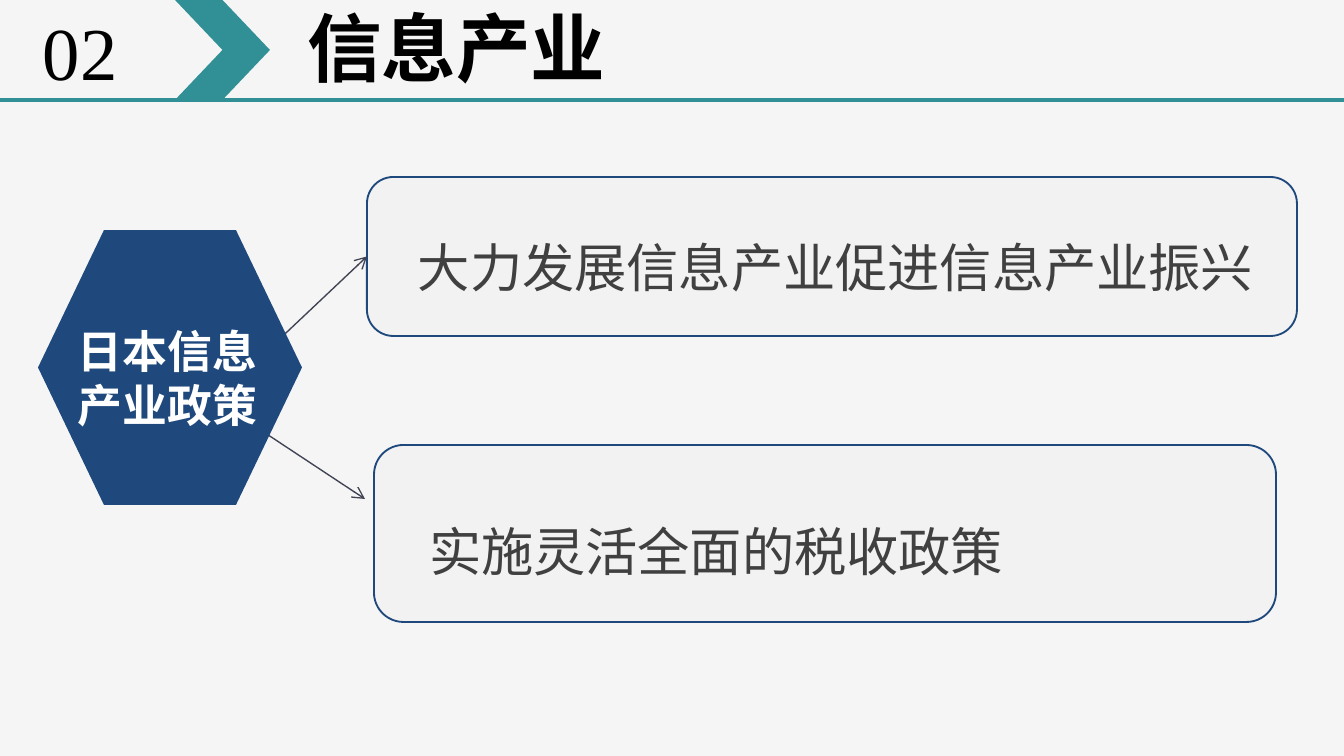
from lxml import etree
from pptx import Presentation
from pptx.dml.color import RGBColor
from pptx.enum.shapes import MSO_CONNECTOR, MSO_SHAPE
from pptx.enum.text import MSO_ANCHOR, MSO_AUTO_SIZE, PP_ALIGN
from pptx.oxml.ns import qn
from pptx.util import Pt

STRAIGHT = MSO_CONNECTOR.STRAIGHT
ROUNDED, HEXAGON, CHEVRON = (
    MSO_SHAPE.ROUNDED_RECTANGLE, MSO_SHAPE.HEXAGON, MSO_SHAPE.CHEVRON)
TOP, LEFT = MSO_ANCHOR.TOP, PP_ALIGN.LEFT
GROW = MSO_AUTO_SIZE.SHAPE_TO_FIT_TEXT

EMU_PER_PX = 914400 / 134.4
WIDTH, HEIGHT = 1344, 756
FONT = "Times New Roman"
LEFT_SIDE = 1
COLORS = {
    "background": "F5F5F5", "panel": "F2F2F2", "navy": "1F497D",
    "teal": "319095", "arrow": "414455", "body": "404040",
    "heading": "000000", "white": "FFFFFF",
}


def px(value):
    return round(value * EMU_PER_PX)


def rgb(name):
    return RGBColor.from_string(COLORS[name])


def add_block(slide, preset, box, fill, outline=None):
    block = slide.shapes.add_shape(preset, *map(px, box))
    block.shadow.inherit = False
    block.fill.solid()
    block.fill.fore_color.rgb = rgb(fill)
    if outline:
        block.line.color.rgb = rgb(outline)
        block.line.width = Pt(1)
    else:
        block.line.fill.background()
    return block


def add_line(slide, start, end, color, weight, arrow=False):
    line = slide.shapes.add_connector(STRAIGHT, *map(px, start + end))
    line.line.color.rgb = rgb(color)
    line.line.width = Pt(weight)
    if arrow:
        etree.SubElement(line.line._get_or_add_ln(), qn("a:tailEnd"), type="arrow")
    etree.SubElement(line._element.spPr, qn("a:effectLst"))
    return line


def fill_text(frame, lines, size, color, bold=False, wrap=True, spacing=None,
              margins=(11, 5)):
    """Write one paragraph per line; margins are (horizontal, vertical) px."""
    frame.word_wrap = wrap
    frame.auto_size = GROW
    frame.vertical_anchor = TOP
    frame.margin_left = frame.margin_right = px(margins[0])
    frame.margin_top = frame.margin_bottom = px(margins[1])
    frame.text = "\n".join(lines)
    for paragraph in frame.paragraphs:
        paragraph.alignment = LEFT
        paragraph.line_spacing = spacing
        paragraph.font.name = FONT
        paragraph.font.size = Pt(size)
        paragraph.font.bold = bold
        paragraph.font.color.rgb = rgb(color)


def add_text(slide, box, lines, size, color, **style):
    label = slide.shapes.add_textbox(*map(px, box))
    fill_text(label.text_frame, lines, size, color, **style)


def set_title(slide, box, text):
    title = slide.shapes.title
    title.left, title.top, title.width, title.height = map(px, box)
    fill_text(title.text_frame, [text], 40, "heading", bold=True)


def add_policy(slide, panel_box, text_box, text):
    panel = add_block(slide, ROUNDED, panel_box, "panel", "navy")
    add_text(slide, text_box, [text], 28, "body", spacing=1.3)
    return panel


def main():
    presentation = Presentation()
    presentation.slide_width, presentation.slide_height = px(WIDTH), px(HEIGHT)
    slide = presentation.slides.add_slide(presentation.slide_layouts[5])
    slide.background.fill.solid()
    slide.background.fill.fore_color.rgb = rgb("background")

    set_title(slide, (296, -3, 693, 102), "信息产业")
    add_line(slide, (0, 100), (WIDTH, 100), "teal", 2.25)
    add_block(slide, CHEVRON, (175, 0, 95, 100), "teal")
    add_text(slide, (32, 1, 98, 102), ["02"], 40, "heading", wrap=False)

    growth_panel = add_policy(slide, (367, 177, 930, 159), (407, 211, 888, 86),
                              "大力发展信息产业促进信息产业振兴")
    add_policy(slide, (374, 445, 902, 177), (418, 495, 718, 86),
               "实施灵活全面的税收政策")

    growth_arrow = add_line(slide, (250, 367), (367, 257), "arrow", 0.75, arrow=True)
    growth_arrow.end_connect(growth_panel, LEFT_SIDE)
    add_line(slide, (253, 425), (365, 499), "arrow", 0.75, arrow=True)

    add_block(slide, HEXAGON, (38, 230, 264, 275), "navy")
    add_text(slide, (65, 317, 210, 122), ["日本信息", "产业政策"], 24, "white",
             bold=True, wrap=False, margins=(13, 7))

    presentation.save("out.pptx")


if __name__ == "__main__":
    main()
